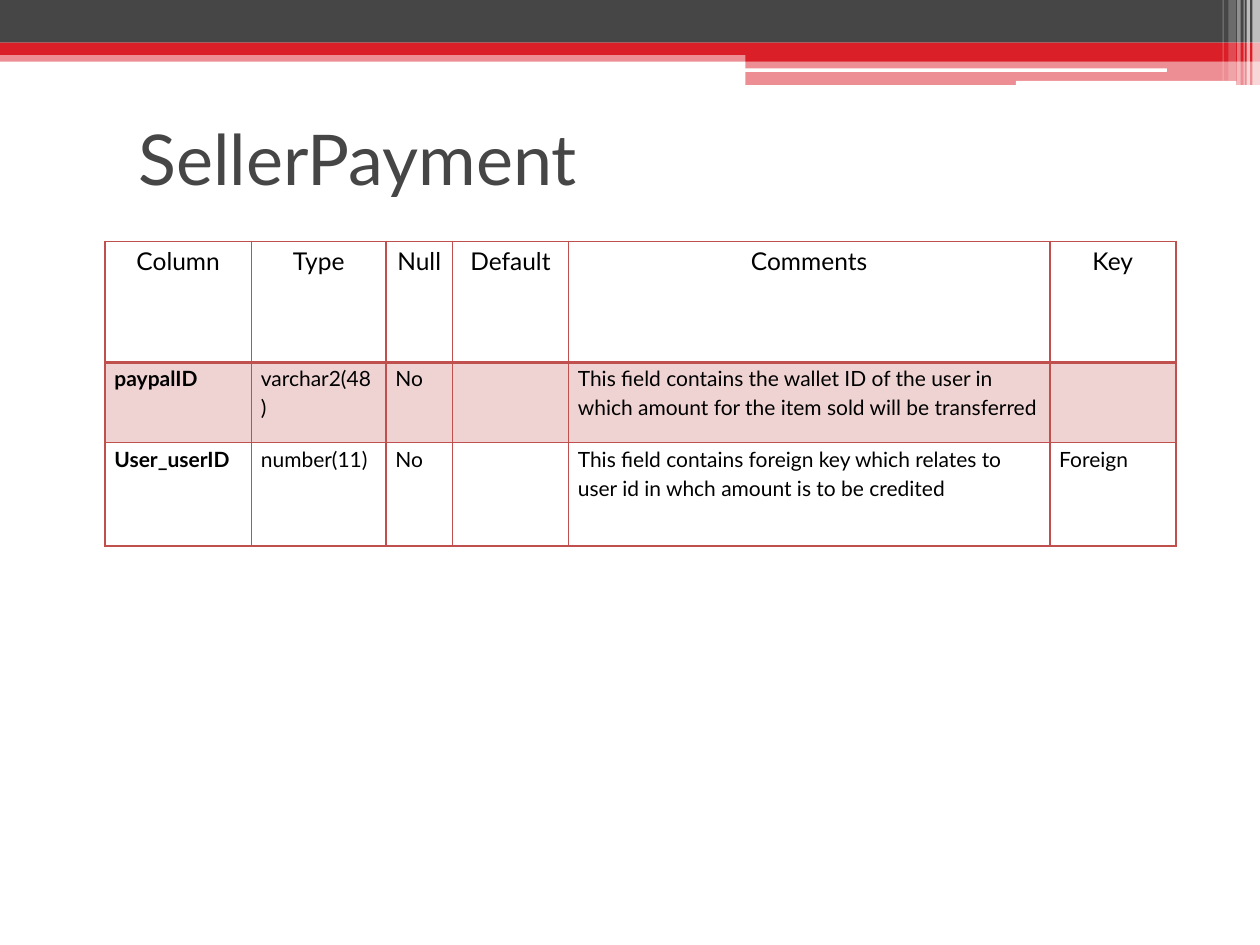
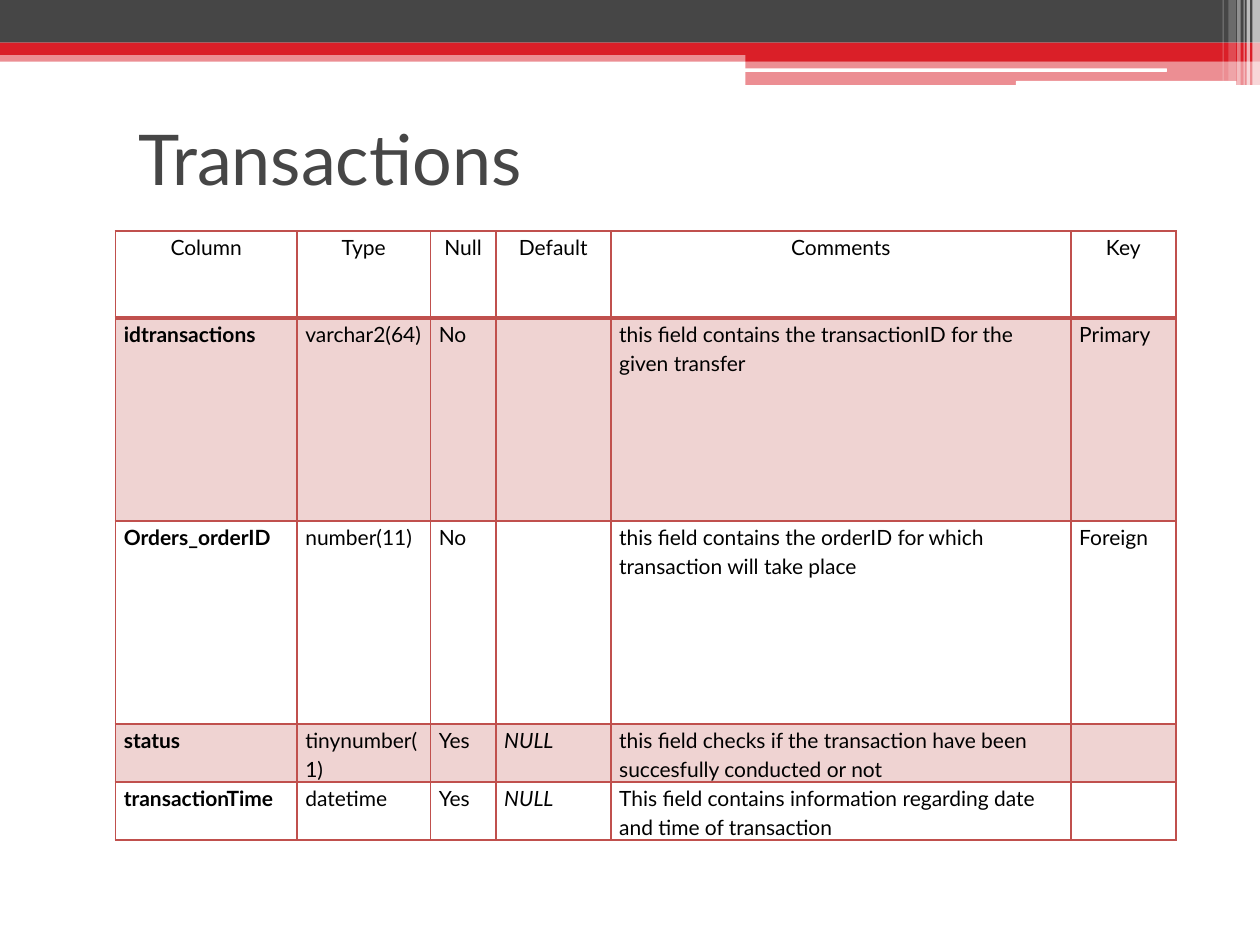
from dataclasses import dataclass

import lxml.etree
import pptx
import pptx.dml.color
import pptx.enum.shapes
import pptx.enum.text
import pptx.oxml.ns
import pptx.presentation
import pptx.slide
import pptx.table
import pptx.util

Pt = pptx.util.Pt
RGB = pptx.dml.color.RGBColor
Kind = pptx.enum.shapes.MSO_SHAPE
Align = pptx.enum.text.PP_ALIGN
qn = pptx.oxml.ns.qn

# Shared style
FONT = "Lato"
GRAY = RGB(0x46, 0x46, 0x46)
RED = RGB(0xDA, 0x1F, 0x28)
WHITE = RGB(0xFF, 0xFF, 0xFF)
BLACK = RGB(0, 0, 0)
ROSE = RGB(0xEF, 0xD3, 0xD2)
EDGE = RGB(0xC0, 0x50, 0x4D)
THIN, THICK = 1, 2.25
HEAD = ("Column", "Type", "Null", "Default", "Comments", "Key")


@dataclass
class Band:
    left: float
    top: float
    width: float
    height: float
    color: RGB
    alpha: int = 100
    kind: Kind = Kind.RECTANGLE


@dataclass
class Page:
    title: str
    left: float
    top: float
    inset: float
    size: int
    cols: tuple[float, ...]
    heights: tuple[float, ...]
    rows: tuple[tuple[str, ...], ...]


BANDS = (
    # Full-width strips
    Band(0, 28.8, 720, 6.5, RED, 50),
    Band(0, 0, 720, 24.4, GRAY),
    Band(0, 24.4, 720, 7, RED),
    # Step on the right, with white lines
    Band(426, 28.3, 294, 7, RED),
    Band(426, 35.3, 294, 13.3, RED, 50),
    Band(425.6, 39.1, 241.2, 2, WHITE, kind=Kind.ROUNDED_RECTANGLE),
    Band(580.5, 46.3, 126, 2.6, WHITE, kind=Kind.ROUNDED_RECTANGLE),
    # Pale stripes at the right edge
    Band(715.7, 0, 4.3, 48.8, WHITE, 65),
    Band(712.3, 0, 2, 48.8, WHITE, 65),
    Band(710.6, 0, 0.7, 48.8, WHITE, 60),
    Band(707, 0, 2, 48.8, WHITE, 40),
    Band(702, 0, 4.3, 46.1, WHITE, 20),
    Band(698.6, 0, 0.7, 46.1, WHITE, 30),
)

PAGES = (
    Page(
        "SellerPayment", 60, 138, 5.4, 14,
        (83.7, 76.9, 38, 66.3, 275.1, 72),
        (69, 46, 59),
        (
            ("paypalID", "varchar2(48)", "No", "",
             "This field contains the wallet ID of the user in which "
             "amount for the item sold will be transferred", ""),
            ("User_userID", "number(11)", "No", "",
             "This field contains foreign key which relates to user id "
             "in whch amount is to be credited", "Foreign"),
        ),
    ),
    Page(
        "Transactions", 66, 132, 4.8, 12,
        (103.7, 76.3, 37.4, 65.7, 262.9, 60),
        (49.7, 116, 116, 33.1, 33.1),
        (
            ("idtransactions", "varchar2(64)", "No", "",
             "this field contains the transactionID for the given transfer",
             "Primary"),
            ("Orders_orderID", "number(11)", "No", "",
             "this field contains the orderID for which transaction will "
             "take place", "Foreign"),
            ("status", "tinynumber(1)", "Yes", "NULL",
             "this field checks if the transaction have been succesfully "
             "conducted or not", ""),
            ("transactionTime", "datetime", "Yes", "NULL",
             "This field contains information regarding date and time of "
             "transaction", ""),
        ),
    ),
)


def draw_band(slide: pptx.slide.Slide, band: Band) -> None:
    shape = slide.shapes.add_shape(
        band.kind, Pt(band.left), Pt(band.top), Pt(band.width), Pt(band.height))
    shape.shadow.inherit = False
    shape.line.fill.background()
    shape.fill.solid()
    shape.fill.fore_color.rgb = band.color
    if band.alpha < 100:
        color = shape.element.spPr.find(".//" + qn("a:srgbClr"))
        lxml.etree.SubElement(color, qn("a:alpha"), val=str(band.alpha * 1000))


def set_title(slide: pptx.slide.Slide, text: str) -> None:
    title = slide.shapes.title
    title.left, title.top = Pt(72), Pt(48)
    title.width, title.height = Pt(648), Pt(84)
    frame = title.text_frame
    frame.text = text
    frame.word_wrap = True
    frame.auto_size = pptx.enum.text.MSO_AUTO_SIZE.NONE
    frame.vertical_anchor = pptx.enum.text.MSO_ANCHOR.MIDDLE
    line = frame.paragraphs[0]
    line.alignment = Align.LEFT
    font = line.runs[0].font
    font.name, font.size, font.color.rgb = FONT, Pt(40), GRAY


def set_edges(cell: pptx.table._Cell, row: int) -> None:
    props = cell._tc.get_or_add_tcPr()
    widths = {
        "lnL": THIN,
        "lnR": THIN,
        "lnT": THICK if row == 1 else THIN,
        "lnB": THICK if row == 0 else THIN,
    }
    for tag, width in widths.items():
        edge = lxml.etree.SubElement(props, qn("a:" + tag), w=str(Pt(width)))
        fill = lxml.etree.SubElement(edge, qn("a:solidFill"))
        lxml.etree.SubElement(fill, qn("a:srgbClr"), val=str(EDGE))


def fill_cell(cell: pptx.table._Cell, text: str, row: int, col: int,
              page: Page) -> None:
    set_edges(cell, row)
    if row % 2:
        cell.fill.solid()
        cell.fill.fore_color.rgb = ROSE
    else:
        cell.fill.background()
    cell.margin_left = cell.margin_right = Pt(page.inset)
    cell.margin_top = cell.margin_bottom = Pt(0)
    line = cell.text_frame.paragraphs[0]
    line.text = text
    line.line_spacing = 1.15
    line.alignment = Align.LEFT if row else Align.CENTER
    for run in line.runs:
        font = run.font
        font.name, font.color.rgb = FONT, BLACK
        font.size = Pt(12 if row else page.size)
        font.bold = row > 0 and col == 0
        font.italic = text == "NULL"


def draw_table(slide: pptx.slide.Slide, page: Page) -> None:
    rows = (HEAD, *page.rows)
    table = slide.shapes.add_table(
        len(rows), len(HEAD), Pt(page.left), Pt(page.top),
        Pt(sum(page.cols)), Pt(sum(page.heights))).table
    for col, width in zip(table.columns, page.cols):
        col.width = Pt(width)
    for r, (texts, height) in enumerate(zip(rows, page.heights)):
        table.rows[r].height = Pt(height)
        for c, text in enumerate(texts):
            fill_cell(table.cell(r, c), text, r, c, page)


def add_page(deck: pptx.presentation.Presentation, page: Page) -> None:
    slide = deck.slides.add_slide(deck.slide_layouts[5])
    for band in BANDS:
        draw_band(slide, band)
    set_title(slide, page.title)
    draw_table(slide, page)


def main() -> None:
    deck = pptx.Presentation()
    deck.slide_width, deck.slide_height = Pt(720), Pt(540)
    for page in PAGES:
        add_page(deck, page)
    deck.save("out.pptx")


if __name__ == "__main__":
    main()
